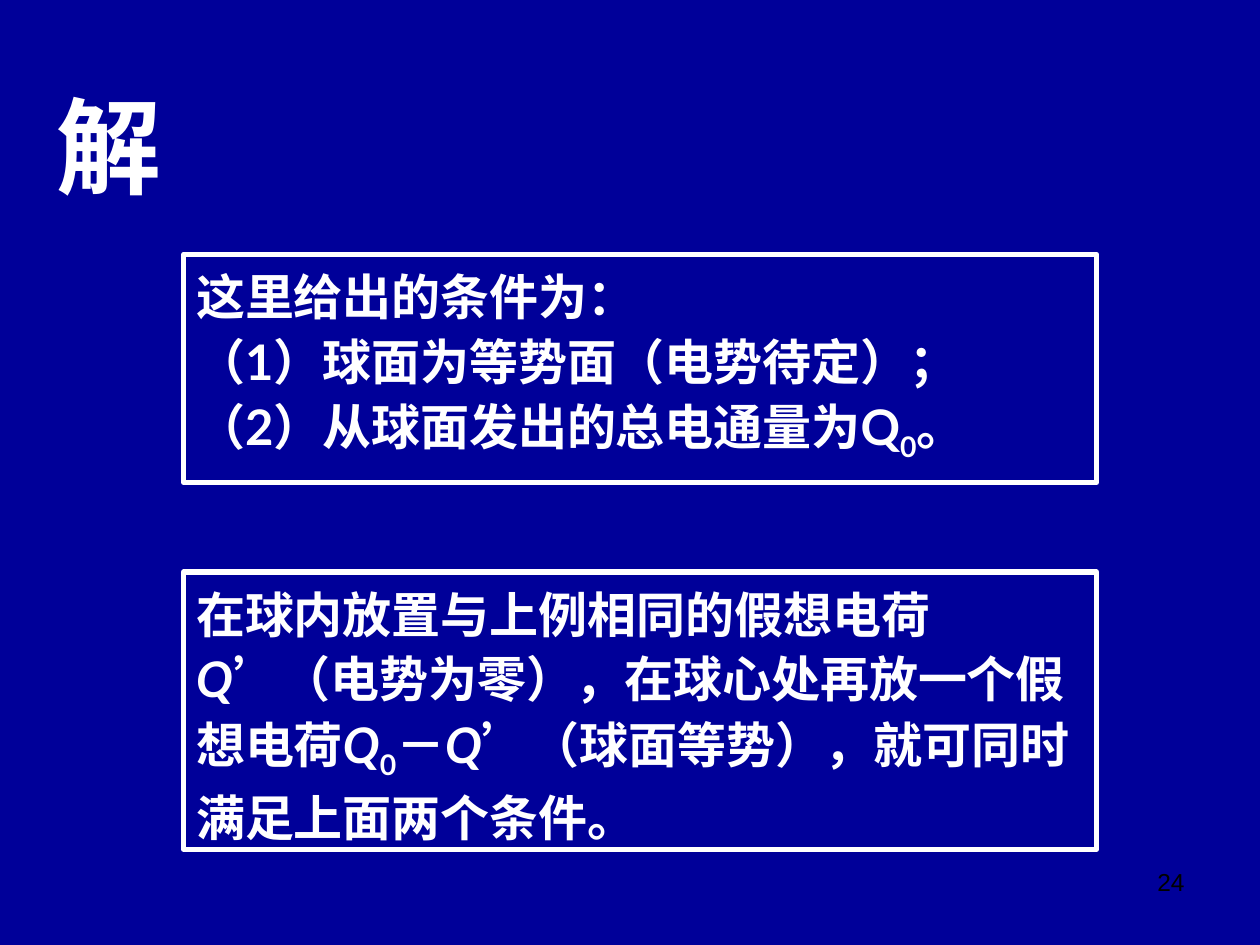
from dataclasses import dataclass

from pptx import Presentation
from pptx.dml.color import RGBColor
from pptx.enum.lang import MSO_LANGUAGE_ID
from pptx.enum.shapes import MSO_SHAPE
from pptx.enum.text import MSO_ANCHOR, PP_ALIGN
from pptx.util import Pt

RECT = MSO_SHAPE.RECTANGLE
TOP = MSO_ANCHOR.TOP
LEFT, RIGHT = PP_ALIGN.LEFT, PP_ALIGN.RIGHT
CHINESE = MSO_LANGUAGE_ID.SIMPLIFIED_CHINESE
COLORS = {"background": "000099", "white": "FFFFFF", "black": "000000"}


@dataclass(frozen=True)
class Run:
    text: str
    italic: bool = False
    subscript: bool = False


@dataclass(frozen=True)
class Panel:
    top: float
    height: float
    paragraphs: list[list[Run]]


CONDITIONS = Panel(145.4, 130.3, [
    [Run("这里给出的条件为：")],
    [Run("（1）球面为等势面（电势待定）；")],
    [Run("（2）从球面发出的总电通量为Q"), Run("0", subscript=True), Run("。")],
])
METHOD = Panel(326.9, 158.4, [[
    Run("在球内放置与上例相同的假想电荷"),
    Run("Q", italic=True),
    Run("’（电势为零），在球心处再放一个假想电荷"),
    Run("Q", italic=True),
    Run("0", subscript=True),
    Run("－"),
    Run("Q", italic=True),
    Run("’（球面等势），就可同时满足上面两个条件。"),
]])


def write_text(sp, paragraphs: list[list[Run]], *, size: float, font: str = "Lato",
               color: str = "white", bold: bool = True, align=LEFT,
               spacing: float = 1.0) -> None:
    """Write formatted paragraphs into a shape."""
    tf = sp.text_frame
    tf.word_wrap = True
    tf.vertical_anchor = TOP
    for i, runs in enumerate(paragraphs):
        p = tf.add_paragraph() if i else tf.paragraphs[0]
        p.alignment = align
        p.line_spacing = spacing
        for run in runs:
            r = p.add_run()
            r.text = run.text
            r.font.size = Pt(size)
            r.font.name = font
            r.font.bold = bold
            r.font.italic = run.italic
            r.font.language_id = CHINESE
            r.font.color.rgb = RGBColor.from_string(COLORS[color])
            if run.subscript:
                r._r.get_or_add_rPr().set("baseline", "-25000")


def draw_panel(s, panel: Panel) -> None:
    """Draw a white-framed panel with its text."""
    sp = s.shapes.add_shape(RECT, Pt(105), Pt(panel.top), Pt(521.6), Pt(panel.height))
    sp.shadow.inherit = False
    sp.fill.background()
    sp.line.color.rgb = RGBColor.from_string(COLORS["white"])
    sp.line.width = Pt(3)
    write_text(sp, panel.paragraphs, size=28, spacing=1.1)


def main() -> None:
    """Build and save the slide."""
    prs = Presentation()
    prs.slide_width, prs.slide_height = Pt(720), Pt(540)
    s = prs.slides.add_slide(prs.slide_layouts[6])
    s.background.fill.solid()
    s.background.fill.fore_color.rgb = RGBColor.from_string(COLORS["background"])

    for panel in (CONDITIONS, METHOD):
        draw_panel(s, panel)

    title = s.shapes.add_textbox(Pt(25.2), Pt(43.2), Pt(77.8), Pt(79.2))
    write_text(title, [[Run("解")]], size=60)
    number = s.shapes.add_textbox(Pt(516), Pt(492), Pt(168), Pt(37.5))
    write_text(number, [[Run("24")]], size=14, font="Arial", color="black",
               bold=False, align=RIGHT)
    prs.save("out.pptx")


if __name__ == "__main__":
    main()
